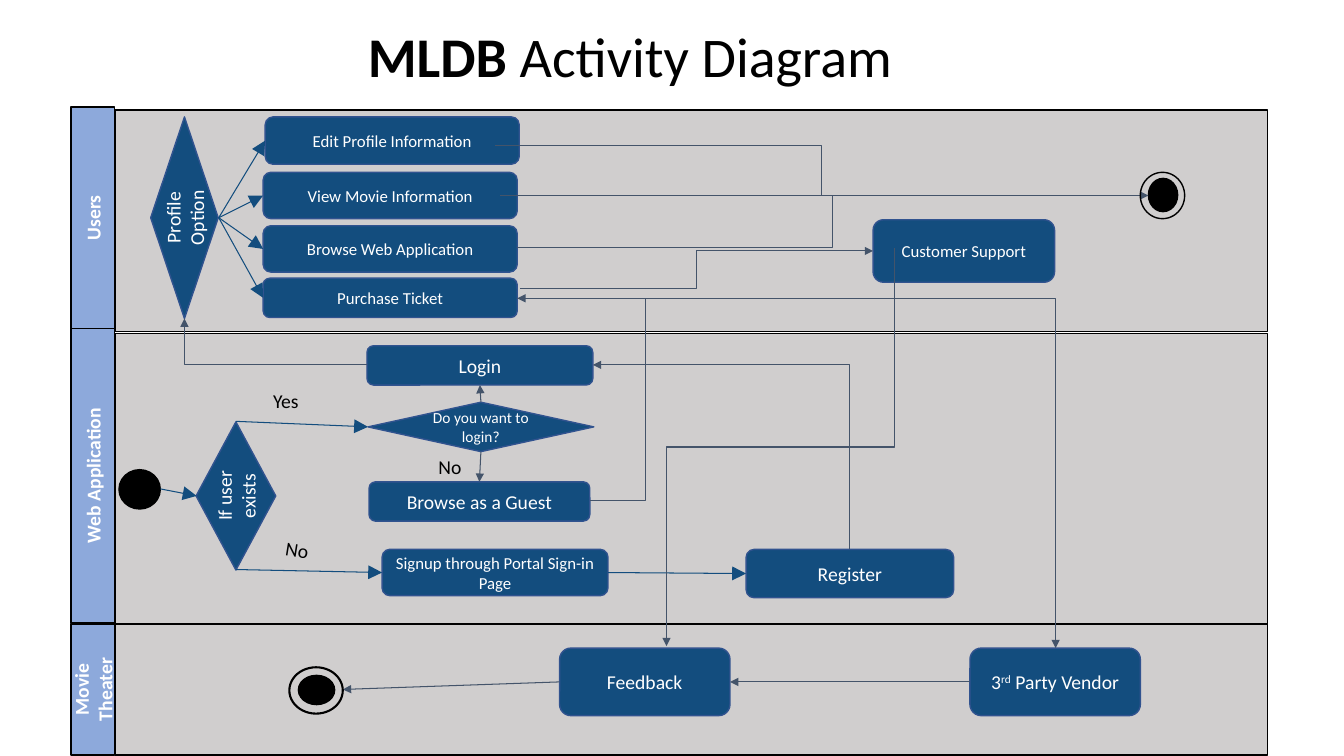
from lxml import etree
from pptx import Presentation
from pptx.dml.color import RGBColor
from pptx.enum.shapes import MSO_CONNECTOR, MSO_SHAPE
from pptx.enum.text import MSO_ANCHOR, PP_ALIGN
from pptx.oxml.ns import qn
from pptx.util import Inches, Pt

RECT, ROUNDED = MSO_SHAPE.RECTANGLE, MSO_SHAPE.ROUNDED_RECTANGLE
DIAMOND, OVAL = MSO_SHAPE.DIAMOND, MSO_SHAPE.OVAL
STRAIGHT, ELBOW = MSO_CONNECTOR.STRAIGHT, MSO_CONNECTOR.ELBOW
CENTER, LEFT_ALIGN = PP_ALIGN.CENTER, PP_ALIGN.LEFT
MIDDLE, TOP_ANCHOR, BOTTOM_ANCHOR = MSO_ANCHOR.MIDDLE, MSO_ANCHOR.TOP, MSO_ANCHOR.BOTTOM
TOP, LEFT, BOTTOM, RIGHT = range(4)


def color(hex_value):
    """Return the colour for a hex string."""
    return RGBColor.from_string(hex_value)


def write(shape, text, size=14, ink="FFFFFF", bold=False, align=CENTER,
          anchor=MIDDLE, inset=(0.07, 0.04), spacing=None):
    """Fill a shape with a string or with (text, format) runs."""
    frame = shape.text_frame
    frame.word_wrap = True
    frame.vertical_anchor = anchor
    frame.margin_left = frame.margin_right = Inches(inset[0])
    frame.margin_top = frame.margin_bottom = Inches(inset[1])
    paragraph = frame.paragraphs[0]
    paragraph.alignment = align
    paragraph.line_spacing = spacing
    for part, style in [(text, {})] if isinstance(text, str) else text:
        run = paragraph.add_run()
        run.text = part
        run.font.name = "Calibri"
        run.font.size = Pt(size)
        run.font.bold = style.get("bold", bold)
        run.font.color.rgb = color(ink)
        if "baseline" in style:
            run._r.get_or_add_rPr().set("baseline", style["baseline"])


class ActivityDiagram:
    """Draws swimlane elements in one style on the current slide."""

    black, panel, lane_blue = "000000", "D0CECE", "8DA9DB"
    node_fill, node_line, route = "134D7E", "31538F", "44546A"

    def __init__(self, slide):
        """Keep the slide's shapes."""
        self.shapes = slide.shapes

    def shape(self, kind, box, fill, outline, width=1, rotation=0):
        """Add a flat preset shape."""
        item = self.shapes.add_shape(kind, *map(Inches, box))
        item.shadow.inherit = False
        item.rotation = rotation
        if fill:
            item.fill.solid()
            item.fill.fore_color.rgb = color(fill)
        else:
            item.fill.background()
        item.line.color.rgb = color(outline)
        item.line.width = Pt(width)
        return item

    def sideways(self, kind, center, length, depth, text, fill, outline, **style):
        """Add a shape that reads upwards around its centre."""
        box = center[0] - length / 2, center[1] - depth / 2, length, depth
        write(self.shape(kind, box, fill, outline, rotation=270), text, **style)

    def lane(self, name, panel_top, panel_height, tab_top, tab_height):
        """Add a lane panel and its tab."""
        self.shape(RECT, (1.14, panel_top, 11.43, panel_height), self.panel, self.black)
        self.sideways(RECT, (0.92, tab_top + tab_height / 2), tab_height, 0.43,
                      name, self.lane_blue, self.black, bold=True)

    def node(self, text, box, size=14, kind=ROUNDED):
        """Add an activity or decision."""
        item = self.shape(kind, box, self.node_fill, self.node_line)
        write(item, text, size=size)
        return item

    def dot(self, box):
        """Add a solid black dot."""
        self.shape(OVAL, box, self.black, self.black)

    def ring(self, box, width):
        """Add the ring around a final dot."""
        self.shape(OVAL, box, None, self.black, width)

    def label(self, text, box, rotation=0, **style):
        """Add free text."""
        item = self.shapes.add_textbox(*map(Inches, box))
        item.rotation = rotation
        style = {"inset": (0.1, 0.1), "anchor": TOP_ANCHOR, **style}
        write(item, text, ink=self.black, align=LEFT_ALIGN, **style)

    def finish(self, line, ink, head):
        """Style a connector and give it an arrowhead."""
        line.line.color.rgb = color(ink)
        line.line.width = Pt(0.75)
        if head:
            etree.SubElement(line.line._get_or_add_ln(), qn("a:tailEnd"),
                             type="triangle", w=head, len=head)
        etree.SubElement(line._element.spPr, qn("a:effectLst"))

    def link(self, start, end, ink=node_fill, head="lg"):
        """Draw a straight line between points or (shape, side) pairs."""
        joined = [not isinstance(spot[0], (int, float)) for spot in (start, end)]
        points = [(0, 0) if glued else spot for glued, spot in zip(joined, (start, end))]
        line = self.shapes.add_connector(STRAIGHT, *map(Inches, points[0] + points[1]))
        if joined[0]:
            line.begin_connect(*start)
        if joined[1]:
            line.end_connect(*end)
        self.finish(line, ink, head)

    def elbow(self, start, end, corner=False, upright=False, bend=None, head="med"):
        """Draw a bent line that sets off sideways, or vertically if upright."""
        (x1, y1), (x2, y2) = start, end
        across, down = (y2 - y1, x1 - x2) if upright else (x2 - x1, y2 - y1)
        mid_x, mid_y = (x1 + x2) / 2, (y1 + y2) / 2
        ends = (mid_x - across / 2, mid_y - down / 2, mid_x + across / 2, mid_y + down / 2)
        line = self.shapes.add_connector(ELBOW, *map(Inches, ends))
        properties = line._element.spPr
        geometry = properties.find(qn("a:prstGeom"))
        if upright:
            properties.find(qn("a:xfrm")).set("rot", "5400000")
        if corner:
            geometry.set("prst", "bentConnector2")
        if bend is not None:
            etree.SubElement(geometry.find(qn("a:avLst")), qn("a:gd"),
                             name="adj1", fmla=f"val {round(bend * 100000)}")
        self.finish(line, self.route, head)


def main():
    """Build the activity diagram."""
    deck = Presentation()
    deck.slide_width, deck.slide_height = Inches(13.33), Inches(7.5)
    art = ActivityDiagram(deck.slides.add_slide(deck.slide_layouts[6]))

    art.label([("MLDB ", {"bold": True}), ("Activity Diagram", {})], (3.55, 0.18, 6.6, 0.76),
              size=40, anchor=BOTTOM_ANCHOR, inset=(0.1, 0.05), spacing=0.9)
    art.lane("Users", 1.09, 2.2, 1.06, 2.2)
    art.lane("Web Application", 3.31, 2.94, 3.26, 2.92)
    art.lane("Movie Theater", 6.19, 1.3, 6.19, 1.3)

    for center, length, depth, question in [((1.83, 2.16), 2, 0.67, "Profile Option"),
                                            ((2.34, 4.92), 1.47, 0.79, "If user exists")]:
        art.sideways(DIAMOND, center, length, depth, question, art.node_fill, art.node_line)

    options = [art.node(text, (left, top, 2.52, height), 12) for text, left, top, height in [
        ("Edit Profile Information", 2.63, 1.16, 0.47),
        ("View Movie Information", 2.61, 1.71, 0.46),
        ("Browse Web Application", 2.61, 2.24, 0.46),
        ("Purchase Ticket", 2.61, 2.76, 0.39)]]
    art.node("Customer Support", (8.66, 2.18, 1.8, 0.62), 12)
    login = art.node("Login", (3.64, 3.43, 2.24, 0.39))
    want_login = art.node("Do you want to login?", (3.65, 3.99, 2.24, 0.49), 11, DIAMOND)
    guest = art.node("Browse as a Guest", (3.66, 4.78, 2.19, 0.39))
    signup = art.node("Signup through Portal Sign-in Page", (3.79, 5.45, 2.24, 0.46), 12)
    register = art.node("Register", (7.4, 5.45, 2.06, 0.48))
    feedback = art.node("Feedback", (5.55, 6.43, 1.69, 0.67))
    vendor = art.node([("3", {}), ("rd", {"baseline": "30000"}), (" Party Vendor", {})],
                      (9.62, 6.43, 1.69, 0.67))

    for dot in [(1.18, 4.66, 0.41, 0.39), (2.96, 6.7, 0.36, 0.29), (11.39, 1.77, 0.29, 0.33)]:
        art.dot(dot)

    for option in options:
        art.link((2.17, 2.16), (option, LEFT))
    art.link((1.59, 4.85), (1.95, 4.92))
    art.link((2.34, 4.18), (want_login, LEFT))
    art.link((2.34, 5.65), (signup, LEFT))
    art.link((signup, RIGHT), (register, LEFT))
    for start, end in [((want_login, TOP), (login, BOTTOM)),
                       ((want_login, BOTTOM), (guest, TOP)),
                       ((feedback, LEFT), (3.4, 6.84)),
                       ((vendor, LEFT), (feedback, RIGHT))]:
        art.link(start, end, art.route, "med")
    art.link((4.96, 1.94), (11.31, 1.94), art.route, None)

    art.elbow((3.64, 3.62), (1.83, 3.16), corner=True)
    art.elbow((5.85, 4.97), (5.13, 2.96), bend=-0.77)
    art.elbow((8.43, 5.45), (5.88, 3.62), corner=True, upright=True)
    art.elbow((5.13, 2.96), (10.47, 6.43), corner=True)
    art.elbow((8.87, 2.46), (6.61, 6.41), upright=True, bend=0.5)
    art.elbow((5.13, 2.46), (11.39, 1.94), bend=0.5, head=None)
    art.elbow((4.91, 1.44), (11.39, 1.94), bend=0.5)
    art.elbow((5.16, 2.86), (8.66, 2.49), bend=0.5)

    art.label("Yes", (2.61, 3.8, 0.67, 0.16))
    art.label("No", (2.75, 5.26, 0.67, 0.22), rotation=9.2)
    art.label("No", (4.25, 4.44, 0.49, 0.17))
    art.ring((2.87, 6.62, 0.53, 0.46), 1.5)
    art.ring((11.31, 1.71, 0.44, 0.46), 1)

    deck.save("out.pptx")


if __name__ == "__main__":
    main()
